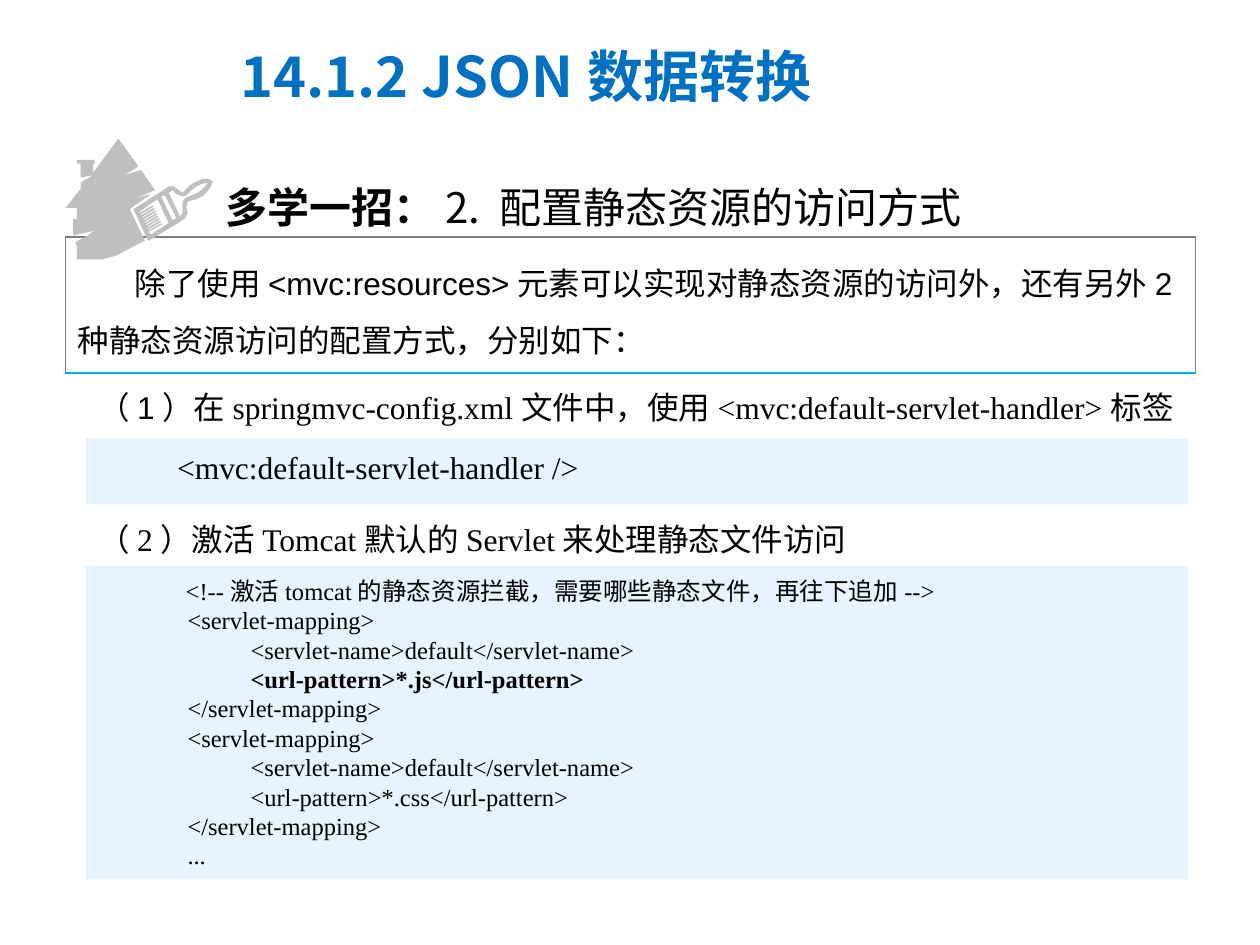
from lxml.etree import SubElement
from pptx import Presentation
from pptx.dml.color import RGBColor
from pptx.enum.shapes import MSO_CONNECTOR, MSO_SHAPE
from pptx.oxml.ns import qn
from pptx.util import Inches, Pt

BLACK = RGBColor(0, 0, 0)
WHITE = RGBColor(0xFF, 0xFF, 0xFF)
BLUE = RGBColor(0x00, 0x70, 0xC0)
CYAN = RGBColor(0x00, 0xB0, 0xF0)
CODE_BG = RGBColor(0xE7, 0xF4, 0xFF)
ICON_GRAY = RGBColor(0xBF, 0xBF, 0xBF)
BORDER_GRAY = RGBColor(0x80, 0x80, 0x80)
CJK, SANS, SERIF = "Noto Sans CJK SC", "Arial", "Times New Roman"
CELL = Inches(0.1)
POINT = Inches(0.01)
COLS, ROWS = 100, 75
FRAME_LEFT, FRAME_WIDTH = 5.2, 89.7
BODY_LEFT, BODY_WIDTH = 6.8, 87.5
CODE_LEFT, CODE_WIDTH = 8.9, 83

HOUSE = [
    (81, 206), (92, 203), (115, 191), (103, 166), (120, 154), (106, 158),
    (116, 154), (123, 151), (112, 135), (98, 139), (104, 136), (110, 132),
    (94, 110), (74, 137), (74, 130), (75, 130), (75, 127), (61, 127),
    (61, 130), (64, 130), (64, 141), (74, 139), (64, 145), (64, 150),
    (52, 165), (61, 165), (61, 174), (58, 174), (58, 187), (75, 183),
    (68, 188), (60, 192), (60, 194), (61, 195), (61, 206),
]
BRUSH_EDGE = [
    (168, 143), (165, 142), (161, 142), (156, 144), (151, 147), (145, 153),
    (142, 151), (138, 148), (134, 148), (125, 154), (106, 166), (117, 190),
    (118, 191), (120, 190), (138, 179), (143, 176), (147, 173), (149, 169),
    (148, 164), (149, 160), (156, 158), (162, 155), (167, 149), (169, 144),
]
HANDLE = [
    (156, 148), (160, 146), (165, 145), (162, 149), (157, 153), (152, 155),
    (147, 157), (145, 160), (145, 169), (143, 172), (134, 153), (137, 151),
    (140, 154), (145, 156), (148, 155), (152, 151),
]
FERRULE = [(128, 156), (131, 155), (140, 173), (137, 175)]
BRISTLES = [(125, 158), (134, 177), (120, 186), (118, 184)] + [
    (x - i, y - 2 * i)
    for i in range(8)
    for x, y in ((129, 178), (128, 177), (118, 183), (118, 182))
]


def cells(*lengths):
    """Turn grid cells into slide lengths."""
    return [round(n * CELL) for n in lengths]


def add_panel(s, box, fill, line=None):
    """Add a plain rectangle."""
    sp = s.shapes.add_shape(MSO_SHAPE.RECTANGLE, *cells(*box))
    sp.shadow.inherit = False
    sp.fill.solid()
    sp.fill.fore_color.rgb = fill
    if line is None:
        sp.line.fill.background()
    else:
        sp.line.color.rgb = line
        sp.line.width = Pt(0.75)


def add_rule(s, left, width, top):
    """Add a horizontal accent line."""
    c = s.shapes.add_connector(
        MSO_CONNECTOR.STRAIGHT, *cells(left, top, left + width, top))
    c.line.color.rgb = CYAN
    c.line.width = Pt(1.5)
    SubElement(c._element.spPr, qn("a:effectLst"))


def add_outline(s, contours):
    """Add one grey freeform made of closed contours."""
    first, *holes = contours
    fb = s.shapes.build_freeform(*first[0], scale=POINT)
    fb.add_line_segments(first[1:])
    for hole in holes:
        fb.move_to(*hole[0])
        fb.add_line_segments(hole[1:])
    sp = fb.convert_to_shape()
    sp.shadow.inherit = False
    sp.fill.solid()
    sp.fill.fore_color.rgb = ICON_GRAY
    sp.line.fill.background()


def add_run(p, text, font, size, color=BLACK, bold=False):
    """Add one formatted run."""
    r = p.add_run()
    r.text = text
    r.font.name = font
    r.font.size = Pt(size)
    r.font.bold = bold
    r.font.color.rgb = color
    SubElement(r._r.get_or_add_rPr(), qn("a:ea"), typeface=CJK)


def add_text_box(s, box):
    """Add a wrapping text box and return its text frame."""
    tf = s.shapes.add_textbox(*cells(*box)).text_frame
    tf.word_wrap = True
    return tf


def add_line(s, box, runs, size, spacing=1.0, indent=0):
    """Add a text box with one paragraph of runs."""
    p = add_text_box(s, box).paragraphs[0]
    p.line_spacing = spacing
    if indent:
        p._p.get_or_add_pPr().set("indent", str(Inches(indent)))
    for text, font, *style in runs:
        add_run(p, text, font, size, *style)


def add_code(s, box, comment, lines, bold_line):
    """Add a code listing below its comment line."""
    tf = add_text_box(s, box)
    add_run(tf.paragraphs[0], comment, SERIF, 14)
    for line in lines:
        p = tf.add_paragraph()
        pPr = p._p.get_or_add_pPr()
        pPr.set("marL", str(Inches(0.5)))
        pPr.set("indent", "0")
        tabs = SubElement(pPr, qn("a:tabLst"))
        SubElement(tabs, qn("a:tab"), pos=str(Inches(1)), algn="l")
        add_run(p, line, SERIF, 14, BLACK, line == bold_line)


def mapping(pattern):
    """Return the code lines of one servlet mapping."""
    return ["<servlet-mapping>", "\t<servlet-name>default</servlet-name>",
            f"\t<url-pattern>{pattern}</url-pattern>", "</servlet-mapping>"]


def main():
    """Build the slide."""
    prs = Presentation()
    prs.slide_width, prs.slide_height = cells(COLS, ROWS)
    s = prs.slides.add_slide(prs.slide_layouts[6])

    add_panel(s, (FRAME_LEFT, 18.8, FRAME_WIDTH, 10.8), WHITE, BORDER_GRAY)
    add_rule(s, FRAME_LEFT, FRAME_WIDTH, 29.6)
    add_line(s, (FRAME_LEFT, 19, FRAME_WIDTH, 10), [
        ("除了使用<mvc:resources>元素可以实现对静态资源的访问外，"
         "还有另外2种静态资源访问的配置方式，分别如下：", SANS)], 18, 1.5, 0.45)
    add_line(s, (18.1, 3.4, 61.5, 8.5),
             [("14.1.2 JSON数据转换", CJK, BLUE, True)], 32, 0.9)
    add_line(s, (16.9, 11.9, 77.9, 7), [
        ("多学一招：", CJK, BLACK, True),
        ("2. 配置静态资源的访问方式", CJK)], 24, 1.5)
    add_outline(s, [HOUSE])
    add_outline(s, [BRUSH_EDGE, HANDLE, FERRULE, BRISTLES])

    add_line(s, (BODY_LEFT, 30.3, BODY_WIDTH, 4), [
        ("（1）", SANS),
        ("在springmvc-config.xml文件中，使用<mvc:default-servlet-handler>标签",
         SERIF)], 18)
    add_panel(s, (BODY_LEFT, 34.8, BODY_WIDTH, 5.2), CODE_BG)
    add_line(s, (CODE_LEFT, 35.1, CODE_WIDTH, 4), [
        ("      ", SANS), ("<mvc:default-servlet-handler />", SERIF)], 18)
    add_line(s, (BODY_LEFT, 40.8, BODY_WIDTH, 4), [
        ("（2）激活Tomcat默认的Servlet来处理静态文件访问", SERIF)], 18)
    add_panel(s, (BODY_LEFT, 44.9, BODY_WIDTH, 24.9), CODE_BG)
    add_code(s, (CODE_LEFT, 45.2, CODE_WIDTH, 24.4),
             "          <!--激活tomcat的静态资源拦截，需要哪些静态文件，再往下追加-->",
             mapping("*.js") + mapping("*.css") + ["..."],
             "\t<url-pattern>*.js</url-pattern>")
    prs.save("out.pptx")


if __name__ == "__main__":
    main()
